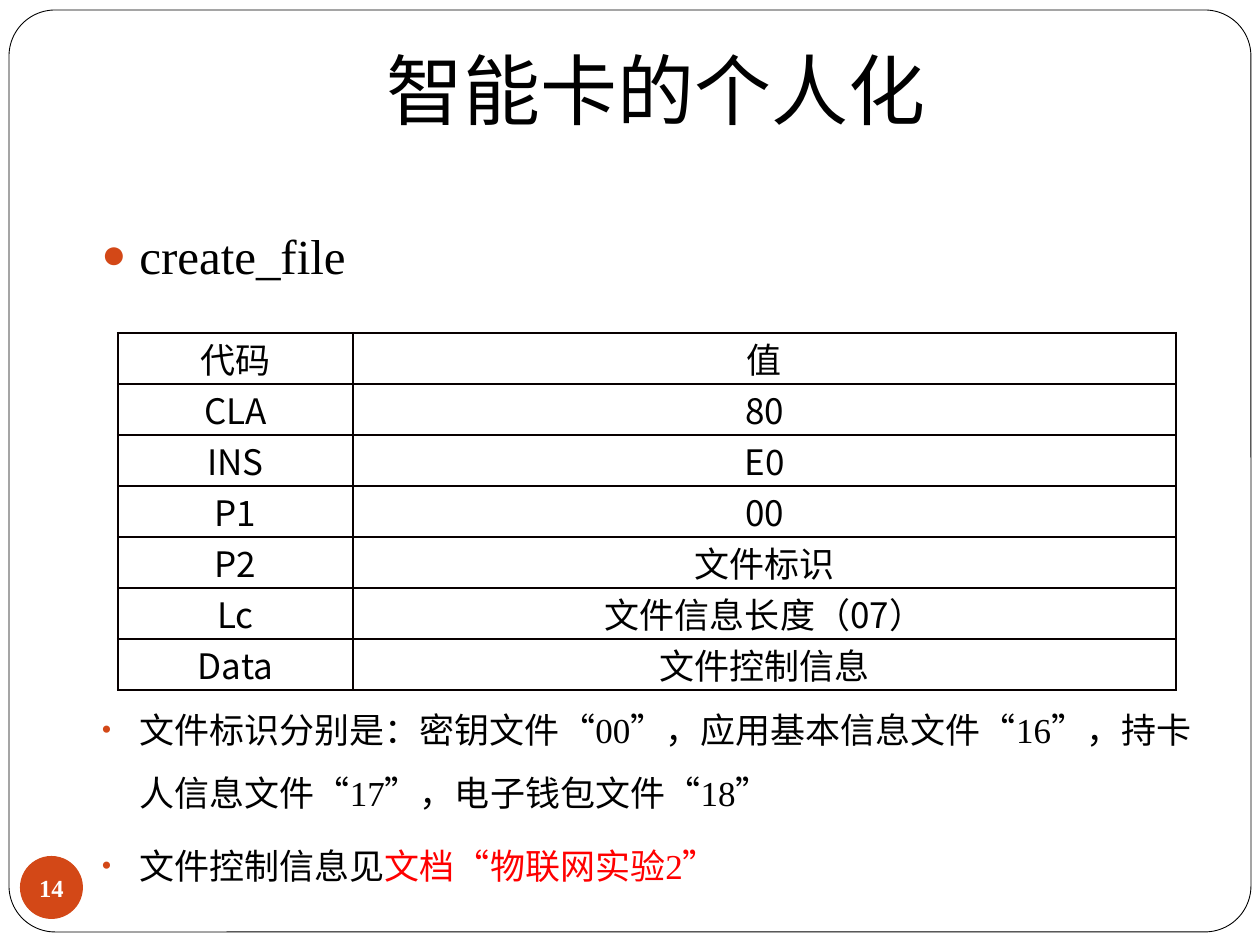
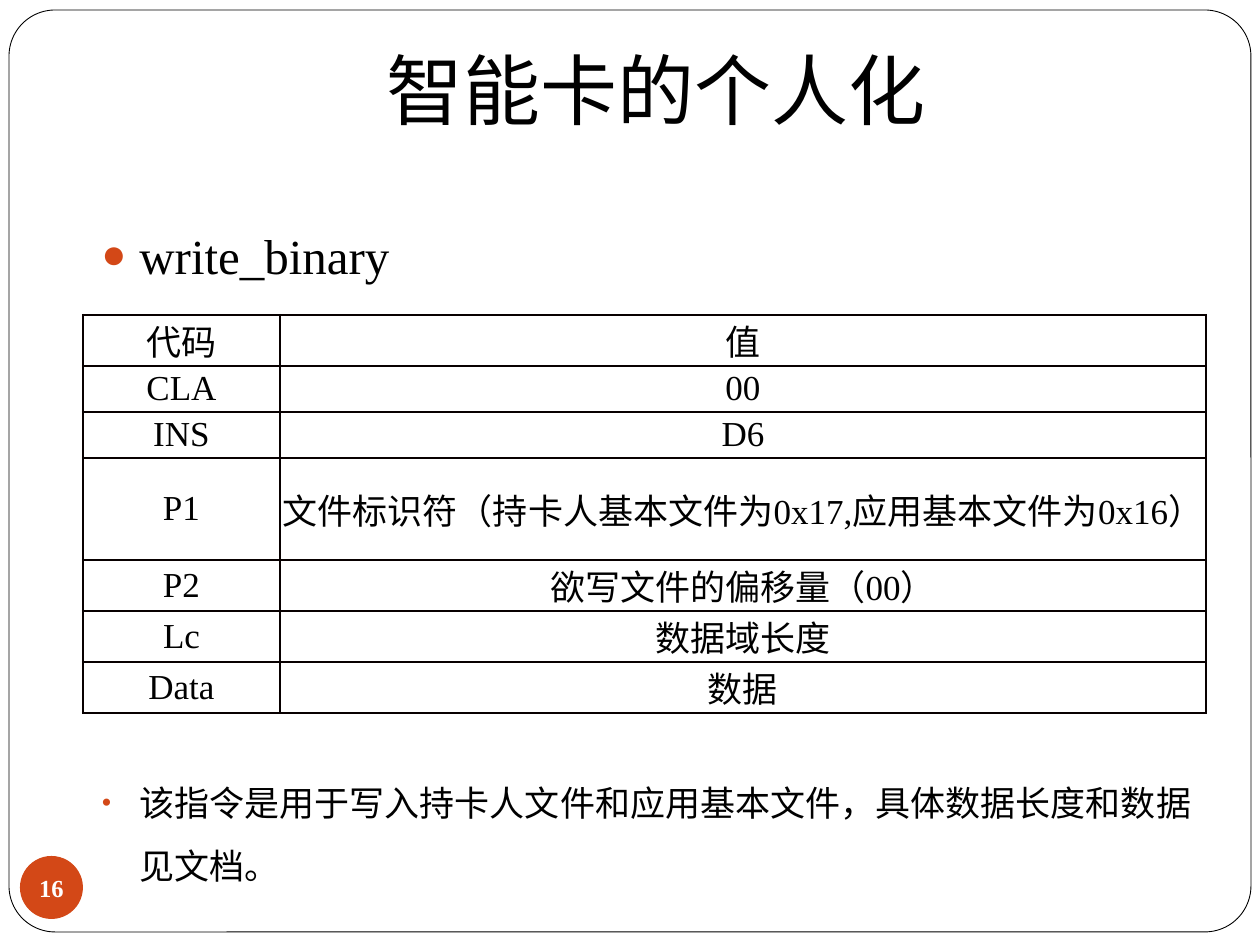
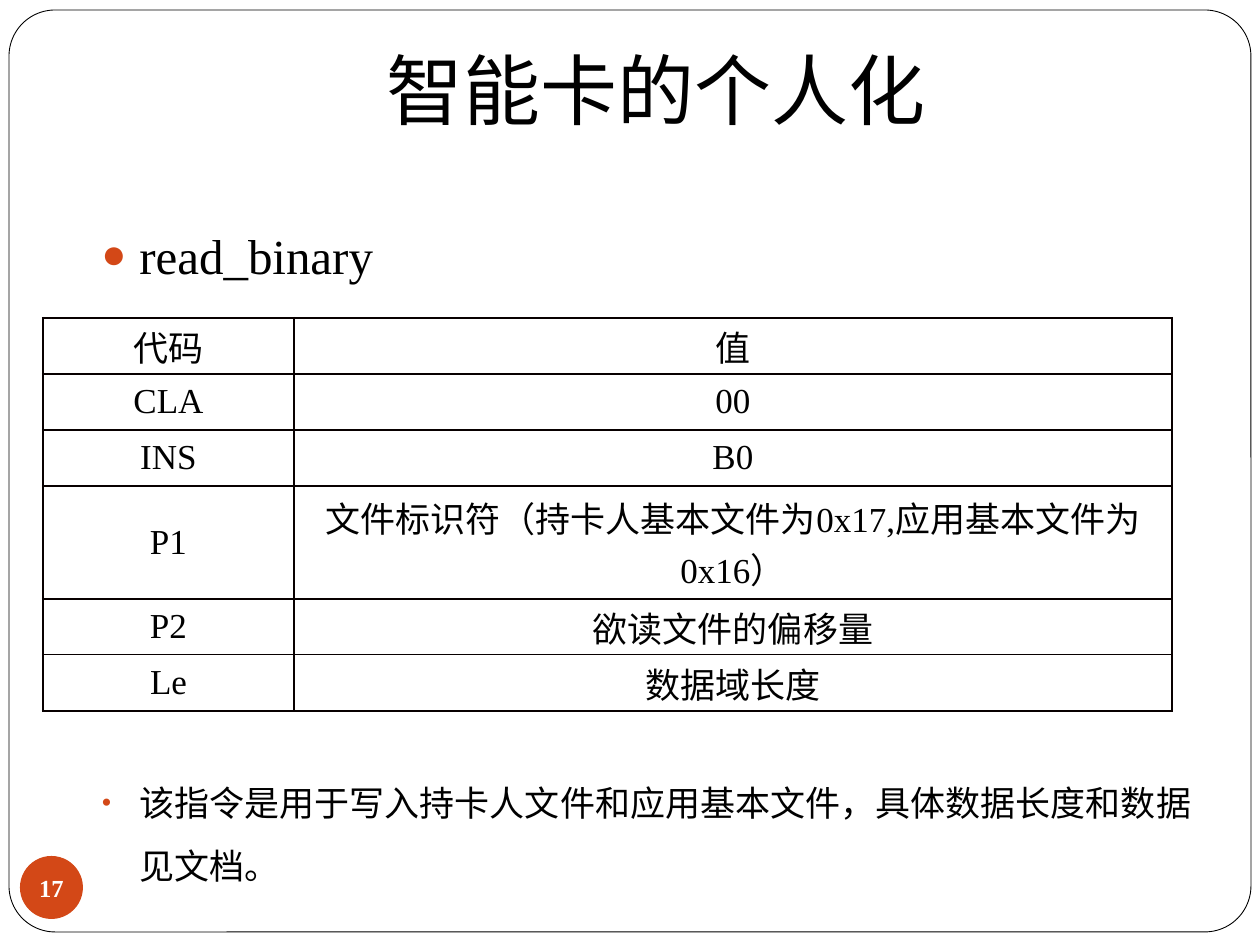
from lxml.etree import SubElement
from pptx import Presentation
from pptx.dml.color import RGBColor
from pptx.enum.shapes import MSO_SHAPE
from pptx.enum.text import MSO_ANCHOR, PP_ALIGN
from pptx.oxml.ns import qn
from pptx.util import Pt

COLORS = {"ink": "000000", "paper": "FFFFFF", "accent": "D34817",
          "alert": "FF0000", "rule": "080000"}
SERIF, SANS = "Times New Roman", "Noto Sans CJK SC"
TITLE = "智能卡的个人化"
HEADER = ("代码", "值")
P1_VALUE = "文件标识符（持卡人基本文件为0x17,应用基本文件为0x16）"
USAGE_NOTE = [("该指令是用于写入持卡人文件和应用基本文件，具体数据长度和数据见文档。", "ink")]

# "row" is the usual row height; "special" gives the rows that differ.
SLIDES = [
    {"number": 14, "command": "create_file", "font": SANS,
     "table_at": (118, 333), "cols": (235, 823), "row": 51, "special": {},
     "rows": [("CLA", "80"), ("INS", "E0"), ("P1", "00"), ("P2", "文件标识"),
              ("Lc", "文件信息长度（07）"), ("Data", "文件控制信息")],
     "notes_top": 681,
     "notes": [[("文件标识分别是：密钥文件“00”，应用基本信息文件“16”，"
                 "持卡人信息文件“17”，电子钱包文件“18”", "ink")],
               [("文件控制信息见", "ink"), ("文档“物联网实验2”", "alert")]]},
    {"number": 16, "command": "write_binary", "font": SERIF,
     "table_at": (83, 315), "cols": (197, 926), "row": 51,
     "special": {"CLA": 46, "INS": 46, "P1": 102},
     "rows": [("CLA", "00"), ("INS", "D6"), ("P1", P1_VALUE),
              ("P2", "欲写文件的偏移量（00）"), ("Lc", "数据域长度"), ("Data", "数据")],
     "notes_top": 754, "notes": [USAGE_NOTE]},
    {"number": 17, "command": "read_binary", "font": SERIF,
     "table_at": (43, 318), "cols": (251, 878), "row": 56, "special": {"P1": 113},
     "rows": [("CLA", "00"), ("INS", "B0"), ("P1", P1_VALUE),
              ("P2", "欲读文件的偏移量"), ("Le", "数据域长度")],
     "notes_top": 754, "notes": [USAGE_NOTE]},
]


def px(n):
    return round(n * 914400 / 126)


def box(*lengths):
    return [px(n) for n in lengths]


def rgb(name):
    return RGBColor.from_string(COLORS[name])


def style(r, size, font, color="ink", bold=False):
    r.font.size, r.font.name, r.font.bold = Pt(size), font, bold
    r.font.color.rgb = rgb(color)
    SubElement(r._r.get_or_add_rPr(), qn("a:ea"), typeface=SANS)


def add_shape(s, kind, at, fill):
    sp = s.shapes.add_shape(kind, *box(*at))
    sp.shadow.inherit = False
    sp.fill.solid()
    sp.fill.fore_color.rgb = rgb(fill)
    return sp


def add_frame(s):
    sp = add_shape(s, MSO_SHAPE.ROUNDED_RECTANGLE, (9, 10, 1242, 922), "paper")
    sp.adjustments[0] = 0.05
    sp.line.color.rgb = rgb("ink")
    sp.line.width = Pt(0.5)


def add_page_number(s, number):
    sp = add_shape(s, MSO_SHAPE.OVAL, (20, 856, 63, 63), "accent")
    sp.line.fill.background()
    tf = sp.text_frame
    tf.margin_left = tf.margin_right = tf.margin_top = tf.margin_bottom = 0
    tf.word_wrap = False
    tf.vertical_anchor = MSO_ANCHOR.MIDDLE
    tf.text = str(number)
    p = tf.paragraphs[0]
    p.alignment = PP_ALIGN.CENTER
    style(p.runs[0], 14, SERIF, "paper", bold=True)


def add_title(s):
    tf = s.shapes.add_textbox(*box(183, 36, 946, 106)).text_frame
    tf.word_wrap = True
    tf.text = TITLE
    p = tf.paragraphs[0]
    p.alignment = PP_ALIGN.CENTER
    style(p.runs[0], 44, SANS)


def add_bullets(s, top, height, items, size, char):
    """Each item is a list of (text, colour) runs."""
    tf = s.shapes.add_textbox(*box(89, top, 1116, height)).text_frame
    tf.word_wrap = True
    for i, item in enumerate(items):
        p = tf.add_paragraph() if i else tf.paragraphs[0]
        p.line_spacing, p.space_before = 1.5, Pt(5.8)
        pPr = p._p.get_or_add_pPr()
        pPr.set("marL", str(px(38)))
        pPr.set("indent", str(px(-38)))
        clr = SubElement(pPr, qn("a:buClr"))
        SubElement(clr, qn("a:srgbClr"), val=COLORS["accent"])
        SubElement(pPr, qn("a:buSzPct"), val="85000")
        SubElement(pPr, qn("a:buFont"), typeface=SERIF)
        SubElement(pPr, qn("a:buChar"), char=char)
        for text, color in item:
            r = p.add_run()
            r.text = text
            style(r, size, SERIF, color)


def set_borders(cell, widths):
    tcPr = cell._tc.get_or_add_tcPr()
    for side, width in widths.items():
        ln = SubElement(tcPr, qn(f"a:ln{side}"), w=str(Pt(width)))
        fill = SubElement(ln, qn("a:solidFill"))
        SubElement(fill, qn("a:srgbClr"), val=COLORS["rule"])


def add_code_table(s, spec):
    rows = [HEADER] + spec["rows"]
    heights = [spec["special"].get(code, spec["row"]) for code, _ in rows]
    table = s.shapes.add_table(
        len(rows), 2, *box(*spec["table_at"], sum(spec["cols"]), sum(heights))).table
    table.first_row = table.horz_banding = False
    for col, width in zip(table.columns, spec["cols"]):
        col.width = px(width)
    last = len(rows) - 1
    for i, row in enumerate(rows):
        table.rows[i].height = px(heights[i])
        for j, text in enumerate(row):
            cell = table.cell(i, j)
            cell.margin_left = cell.margin_right = 0
            cell.margin_top = cell.margin_bottom = 0
            cell.vertical_anchor = MSO_ANCHOR.MIDDLE
            # The outer edge and the rule under the header are heavier.
            set_borders(cell, {"L": 1 if j else 1.5, "R": 1.5 if j else 1,
                               "T": 1.5 if i < 2 else 1,
                               "B": 1.5 if i in (0, last) else 1})
            cell.fill.background()
            cell.text = text
            p = cell.text_frame.paragraphs[0]
            p.alignment = PP_ALIGN.CENTER
            style(p.runs[0], 20, spec["font"])


def main():
    prs = Presentation()
    prs.slide_width, prs.slide_height = box(1260, 945)
    for spec in SLIDES:
        s = prs.slides.add_slide(prs.slide_layouts[6])
        add_frame(s)
        add_page_number(s, spec["number"])
        add_title(s)
        add_bullets(s, 190, 100, [[(spec["command"], "ink")]], 28, "●")
        add_bullets(s, spec["notes_top"], 892 - spec["notes_top"],
                    spec["notes"], 20, "•")
        add_code_table(s, spec)
    prs.save("out.pptx")


if __name__ == "__main__":
    main()
